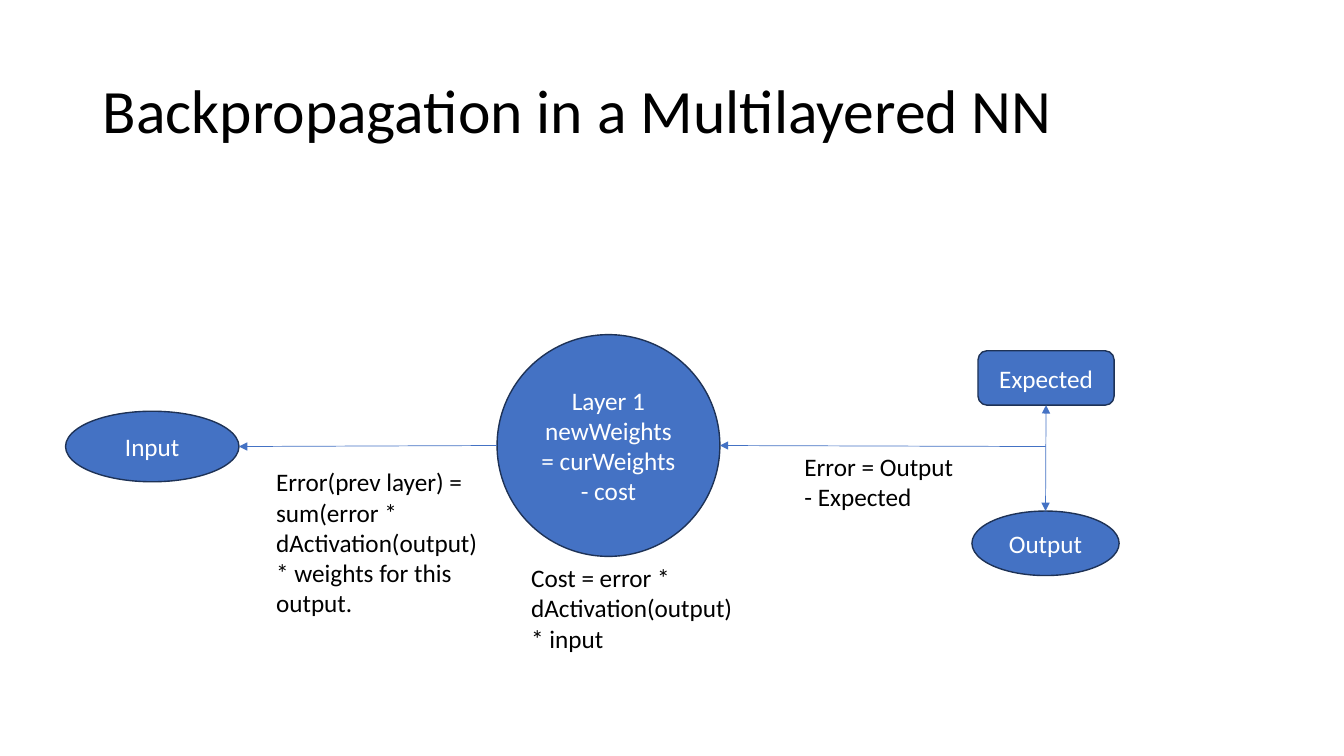
"""Draw the flow of error back through a small neural net."""
import dataclasses

import pptx
import pptx.dml.color
import pptx.enum.shapes
import pptx.enum.text
import pptx.oxml.ns
import pptx.util
from lxml import etree

Inches = pptx.util.Inches
Pt = pptx.util.Pt
Shape = pptx.enum.shapes.MSO_SHAPE
Align = pptx.enum.text.PP_ALIGN
Anchor = pptx.enum.text.MSO_ANCHOR
Fit = pptx.enum.text.MSO_AUTO_SIZE


@dataclasses.dataclass(frozen=True)
class Theme:
    """Hold the colours and type sizes."""
    font: str = "Calibri"
    dark: str = "000000"
    light: str = "FFFFFF"
    fill: str = "4472C4"
    edge: str = "1E3256"
    head: int = 44
    body: int = 18


class Board:
    """Draw styled parts on one slide."""

    def __init__(self, slide, theme):
        self.slide = slide
        self.theme = theme

    def tint(self, code):
        return pptx.dml.color.RGBColor.from_string(code)

    def label(self, frame, text, size, code, align):
        frame.word_wrap = True
        frame.text = text
        for para in frame.paragraphs:
            para.alignment = align
            para.font.name = self.theme.font
            para.font.size = Pt(size)
            para.font.color.rgb = self.tint(code)

    def title(self, text, left, top, width, height):
        shape = self.slide.shapes.title
        shape.left, shape.top = Inches(left), Inches(top)
        shape.width, shape.height = Inches(width), Inches(height)
        frame = shape.text_frame
        self.label(frame, text, self.theme.head, self.theme.dark, Align.LEFT)
        frame.auto_size = Fit.NONE
        frame.vertical_anchor = Anchor.MIDDLE
        frame.paragraphs[0].line_spacing = 0.9

    def node(self, kind, text, left, top, width, height):
        shape = self.slide.shapes.add_shape(
            kind, Inches(left), Inches(top), Inches(width), Inches(height))
        shape.shadow.inherit = False
        shape.fill.solid()
        shape.fill.fore_color.rgb = self.tint(self.theme.fill)
        shape.line.color.rgb = self.tint(self.theme.edge)
        shape.line.width = Pt(1)
        frame = shape.text_frame
        self.label(frame, text, self.theme.body, self.theme.light, Align.CENTER)
        frame.vertical_anchor = Anchor.MIDDLE
        return shape

    def note(self, text, left, top, width, height):
        shape = self.slide.shapes.add_textbox(
            Inches(left), Inches(top), Inches(width), Inches(height))
        frame = shape.text_frame
        self.label(frame, text, self.theme.body, self.theme.dark, Align.LEFT)
        frame.auto_size = Fit.SHAPE_TO_FIT_TEXT

    def arrow(self, start, end, tips=("tailEnd",)):
        line = self.slide.shapes.add_connector(
            pptx.enum.shapes.MSO_CONNECTOR.STRAIGHT,
            *map(Inches, start), *map(Inches, end))
        line.line.color.rgb = self.tint(self.theme.fill)
        line.line.width = Pt(0.5)
        props = line.element.spPr
        stroke = props.find(pptx.oxml.ns.qn("a:ln"))
        for tip in tips:
            etree.SubElement(stroke, pptx.oxml.ns.qn(f"a:{tip}"), type="triangle")
        etree.SubElement(props, pptx.oxml.ns.qn("a:effectLst"))
        return line


def main():
    deck = pptx.Presentation()
    deck.slide_width, deck.slide_height = Inches(13.33), Inches(7.5)
    board = Board(deck.slides.add_slide(deck.slide_layouts[5]), Theme())

    board.title("Backpropagation in a Multilayered NN", 0.92, 0.4, 11.5, 1.45)
    board.node(Shape.OVAL, "Input", 0.65, 4.08, 1.72, 0.7)
    board.node(Shape.OVAL, "Layer 1\nnewWeights = curWeights - cost",
               4.93, 3.32, 2.21, 2.2)
    output = board.node(Shape.OVAL, "Output", 9.64, 5.07, 1.46, 0.64)
    target = board.node(Shape.ROUNDED_RECTANGLE, "Expected", 9.7, 3.48, 1.35, 0.54)

    gap = board.arrow((10.37, 4.02), (10.37, 5.07), ("headEnd", "tailEnd"))
    gap.begin_connect(target, 2)
    gap.end_connect(output, 0)
    board.arrow((10.37, 4.43), (7.14, 4.42))
    board.arrow((4.93, 4.42), (2.37, 4.43))

    board.note("Error = Output - Expected", 7.88, 4.43, 1.79, 0.71)
    board.note("Cost = error * dActivation(output) * input", 5.17, 5.53, 2.34, 1.01)
    board.note("Error(prev layer) = sum(error * dActivation(output) "
               "* weights for this output.", 2.64, 4.58, 2.21, 1.62)
    deck.save("out.pptx")


if __name__ == "__main__":
    main()
